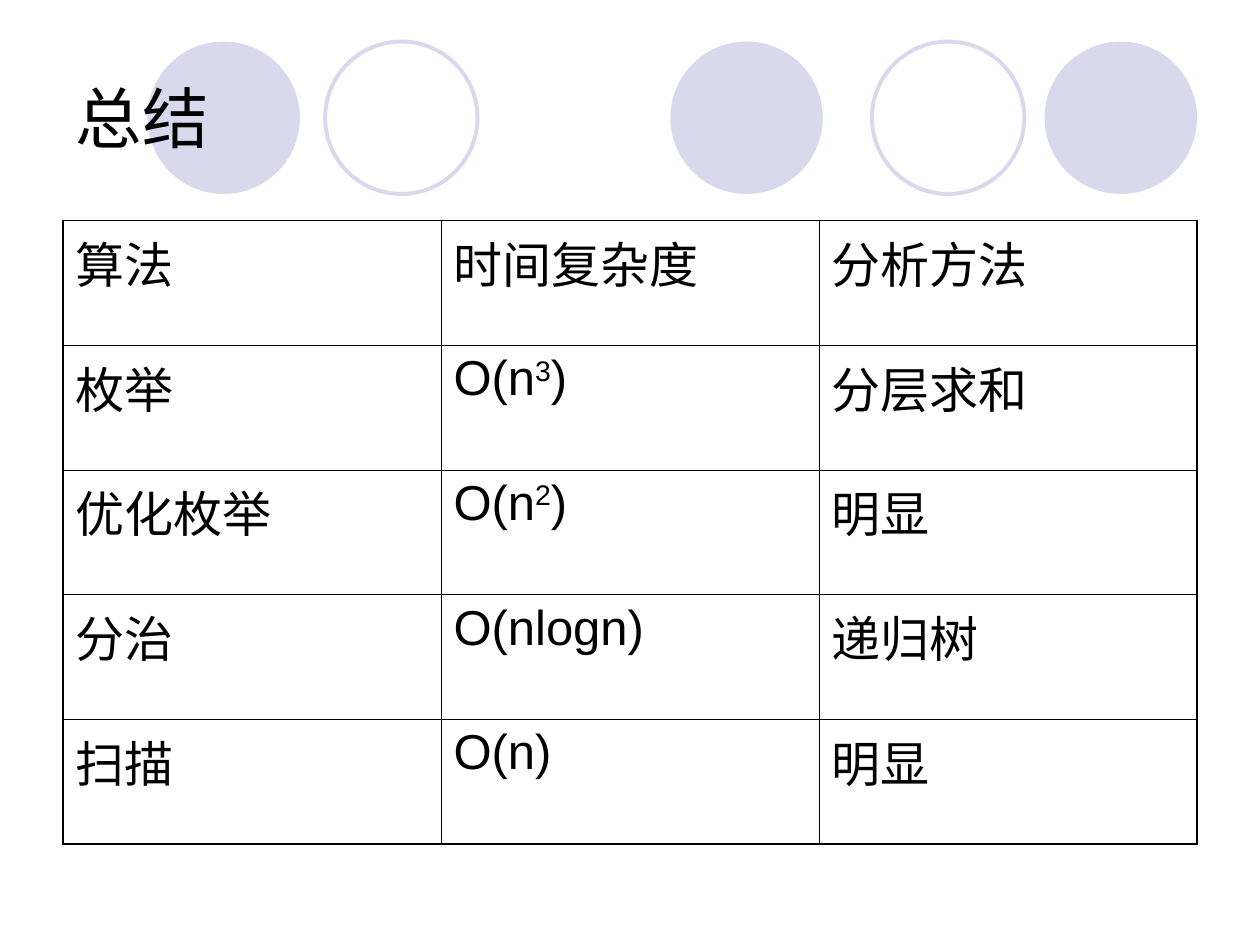
from lxml.etree import SubElement
from pptx import Presentation
from pptx.dml.color import RGBColor
from pptx.enum.shapes import MSO_SHAPE
from pptx.enum.text import MSO_ANCHOR, MSO_AUTO_SIZE, PP_ALIGN
from pptx.oxml.ns import qn
from pptx.util import Inches, Pt

COLORS = {"text": "000000", "border": "000000", "circle": "D9D8EC"}
FONT = "Arial"
THIN, THICK = 0.45, 1.08
CIRCLE_SIZE = 1.21
# (left, filled)
CIRCLES = [(5.32, True), (8.29, True), (1.17, True), (6.92, False), (2.58, False)]
# A cell is a list of runs; "^" marks a superscript run.
ROWS = [
    [["算法"], ["时间复杂度"], ["分析方法"]],
    [["枚举"], ["O(n", "^3", ")"], ["分层求和"]],
    [["优化枚举"], ["O(n", "^2", ")"], ["明显"]],
    [["分治"], ["O(nlogn)"], ["递归树"]],
    [["扫描"], ["O(n)"], ["明显"]],
]


def rgb(name):
    return RGBColor.from_string(COLORS[name])


def write(tf, runs, size=28, color="text", align=PP_ALIGN.LEFT):
    p = tf.paragraphs[0]
    p.alignment = align
    for text in runs:
        r = p.add_run()
        r.text = text.removeprefix("^")
        r.font.name = FONT
        r.font.size = Pt(size)
        r.font.color.rgb = rgb(color)
        if text.startswith("^"):
            r.font._element.set("baseline", "30000")


def add_circle(s, left, filled):
    sp = s.shapes.add_shape(MSO_SHAPE.OVAL, Inches(left), Inches(0.33),
                            Inches(CIRCLE_SIZE), Inches(CIRCLE_SIZE))
    sp.shadow.inherit = False
    if filled:
        sp.fill.solid()
        sp.fill.fore_color.rgb = rgb("circle")
        sp.line.fill.background()
    else:
        sp.fill.background()
        sp.line.color.rgb = rgb("circle")
        sp.line.width = Pt(2.25)


def place_title(s, text):
    """Fill the title placeholder and bring it in front of the circles."""
    title = s.shapes.title
    title.left, title.top = Inches(0.5), Inches(0.3)
    title.width, title.height = Inches(9), Inches(1.25)
    tf = title.text_frame
    tf.auto_size = MSO_AUTO_SIZE.NONE
    tf.vertical_anchor = MSO_ANCHOR.MIDDLE
    write(tf, [text], size=38)
    s.shapes.element.append(title.element)


def set_borders(cell, widths):
    """Draw the left, right, top and bottom borders, with widths in points."""
    tc_pr = cell._tc.get_or_add_tcPr()
    for side, width in zip("LRTB", widths):
        ln = SubElement(tc_pr, qn(f"a:ln{side}"), w=str(Pt(width)))
        fill = SubElement(ln, qn("a:solidFill"))
        SubElement(fill, qn("a:srgbClr"), val=COLORS["border"])


def add_summary_table(s):
    n_rows, n_cols = len(ROWS), len(ROWS[0])
    table = s.shapes.add_table(n_rows, n_cols, Inches(0.5), Inches(1.75),
                               Inches(9), Inches(4.95)).table
    table.first_row = table.horz_banding = False
    for i, row in enumerate(ROWS):
        for j, runs in enumerate(row):
            cell = table.cell(i, j)
            outer = (j == 0, j == n_cols - 1, i == 0, i == n_rows - 1)
            set_borders(cell, [THICK if edge else THIN for edge in outer])
            cell.fill.background()
            write(cell.text_frame, runs)


def main():
    prs = Presentation()
    prs.slide_width, prs.slide_height = Inches(10), Inches(7.5)
    s = prs.slides.add_slide(prs.slide_layouts[5])
    for left, filled in CIRCLES:
        add_circle(s, left, filled)
    place_title(s, "总结")
    add_summary_table(s)
    prs.save("out.pptx")


if __name__ == "__main__":
    main()
